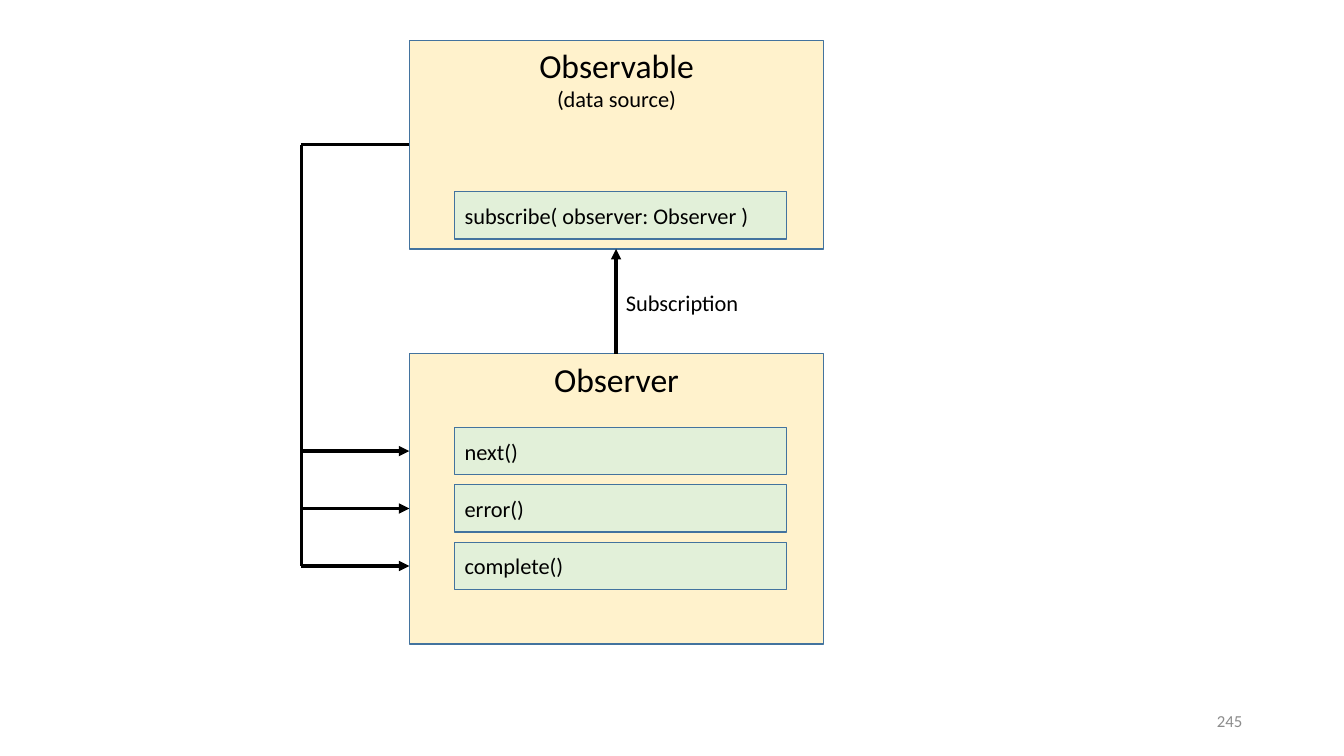
from lxml import etree
from pptx import Presentation
from pptx.dml.color import RGBColor
from pptx.enum.shapes import MSO_CONNECTOR, MSO_SHAPE
from pptx.enum.text import MSO_ANCHOR, PP_ALIGN
from pptx.oxml.ns import qn
from pptx.util import Inches, Pt

RECT = MSO_SHAPE.RECTANGLE
STRAIGHT = MSO_CONNECTOR.STRAIGHT
TOP, MIDDLE = MSO_ANCHOR.TOP, MSO_ANCHOR.MIDDLE
LEFT, CENTER, RIGHT = PP_ALIGN.LEFT, PP_ALIGN.CENTER, PP_ALIGN.RIGHT

COLORS = {
    "panel": "FFF2CC",
    "method": "E2F0D9",
    "border": "43739E",
    "ink": "000000",
    "muted": "8C8C8C",
}


class Diagram:
    """Draws the elements of the observer diagram in one style."""

    font = "Calibri"

    def __init__(self, slide):
        self.slide = slide

    def color(self, name):
        return RGBColor.from_string(COLORS[name])

    def fill_text(self, s, lines, align=LEFT, anchor=MIDDLE, color="ink", wrap=True):
        tf = s.text_frame
        for name, value in {"word_wrap": wrap, "vertical_anchor": anchor}.items():
            setattr(tf, name, value)
        for i, (text, size) in enumerate(lines):
            p = tf.add_paragraph() if i else tf.paragraphs[0]
            p.alignment = align
            r = p.add_run()
            r.text = text
            for name, value in {"name": self.font, "size": Pt(size)}.items():
                setattr(r.font, name, value)
            r.font.color.rgb = self.color(color)

    def box(self, at, fill, lines, **style):
        s = self.slide.shapes.add_shape(RECT, *map(Inches, at))
        s.shadow.inherit = False
        s.fill.solid()
        s.fill.fore_color.rgb = self.color(fill)
        s.line.color.rgb = self.color("border")
        s.line.width = Pt(1)
        self.fill_text(s, lines, **style)

    def panel(self, top, height, lines):
        at = (PANEL_X, top, PANEL_W, height)
        self.box(at, "panel", lines, align=CENTER, anchor=TOP)

    def method(self, top, text):
        self.box((4.51, top, 3.29, METHOD_H), "method", [(text, 16)])

    def text(self, at, text, size, **style):
        s = self.slide.shapes.add_textbox(*map(Inches, at))
        self.fill_text(s, [(text, size)], **style)

    def line(self, start, end, arrow=False):
        s = self.slide.shapes.add_connector(STRAIGHT, *map(Inches, start + end))
        s.line.color.rgb = self.color("ink")
        s.line.width = Pt(2.5)
        props = s._element.spPr
        if arrow:
            etree.SubElement(props.find(qn("a:ln")), qn("a:tailEnd"), type="triangle")
        etree.SubElement(props, qn("a:effectLst"))


PANEL_X, PANEL_W = 4.06, 4.11
SOURCE_Y, SOURCE_H = 0.4, 2.07
OBSERVER_Y, OBSERVER_H = 3.51, 2.88
METHOD_H, METHOD_Y, METHOD_STEP = 0.47, 4.24, 0.57
BUS_X, CENTER_X = 2.99, 6.11


def main():
    prs = Presentation()
    prs.slide_width, prs.slide_height = Inches(13.33), Inches(7.5)
    d = Diagram(prs.slides.add_slide(prs.slide_layouts[6]))

    d.panel(SOURCE_Y, SOURCE_H, [("Observable", 24), ("(data source)", 16)])
    d.panel(OBSERVER_Y, OBSERVER_H, [("Observer", 24)])
    d.method(1.9, "subscribe( observer: Observer )")

    d.line((CENTER_X, OBSERVER_Y), (CENTER_X, SOURCE_Y + SOURCE_H), arrow=True)
    d.text((CENTER_X, 2.82, 1.33, 0.37), "Subscription", 16, anchor=TOP, wrap=False)

    for i, name in enumerate(("next()", "error()", "complete()")):
        top = METHOD_Y + i * METHOD_STEP
        y = top + METHOD_H / 2
        d.method(top, name)
        d.line((BUS_X, y), (PANEL_X, y), arrow=True)

    source_mid = SOURCE_Y + SOURCE_H / 2
    d.line((BUS_X, y), (BUS_X, source_mid))
    d.line((PANEL_X, source_mid), (BUS_X, source_mid))

    d.text((9.42, 6.95, 3, 0.4), "245", 12, align=RIGHT, color="muted")
    prs.save("out.pptx")


if __name__ == "__main__":
    main()
